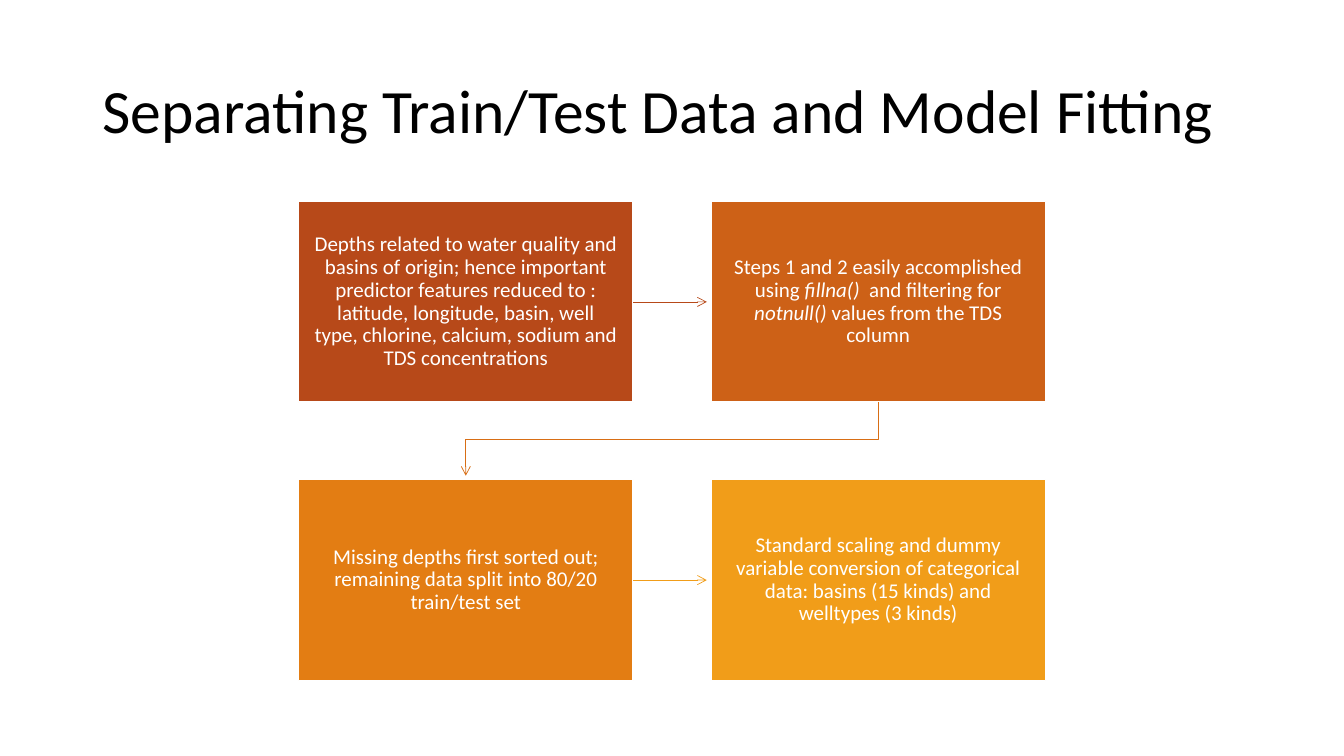
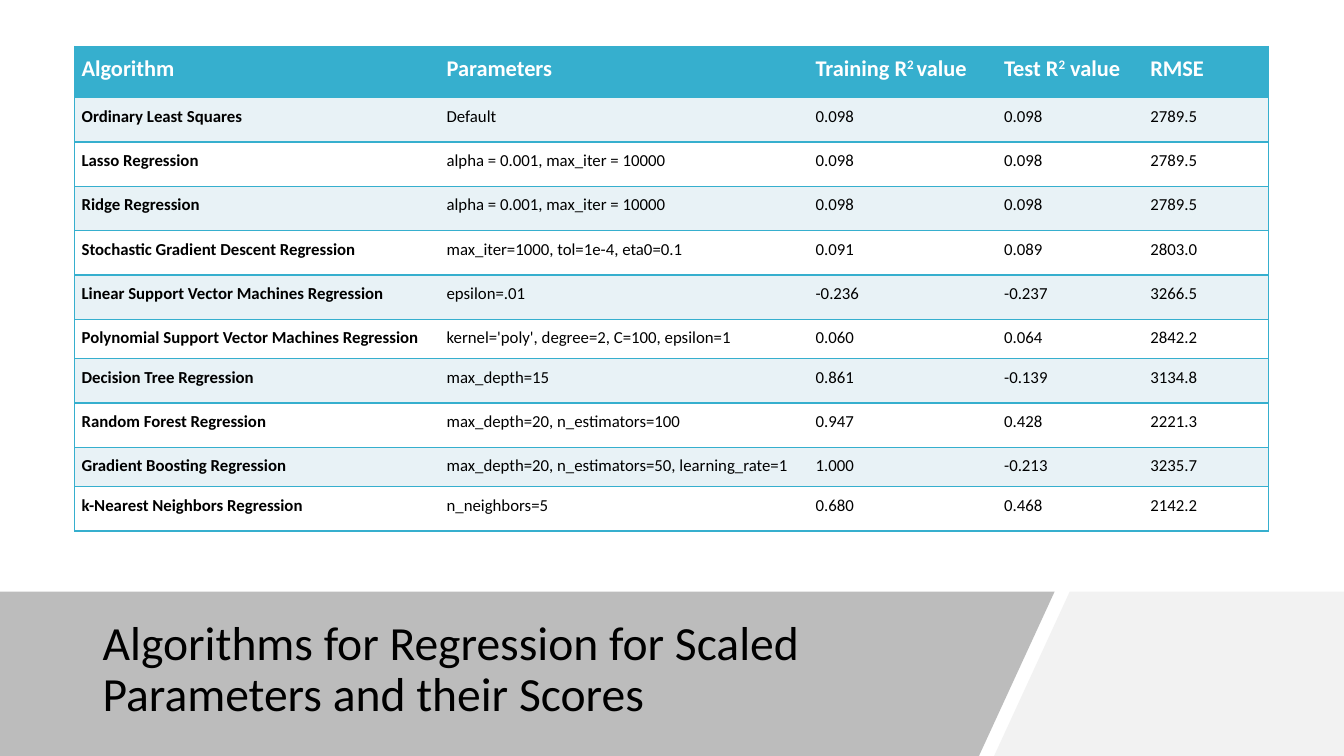
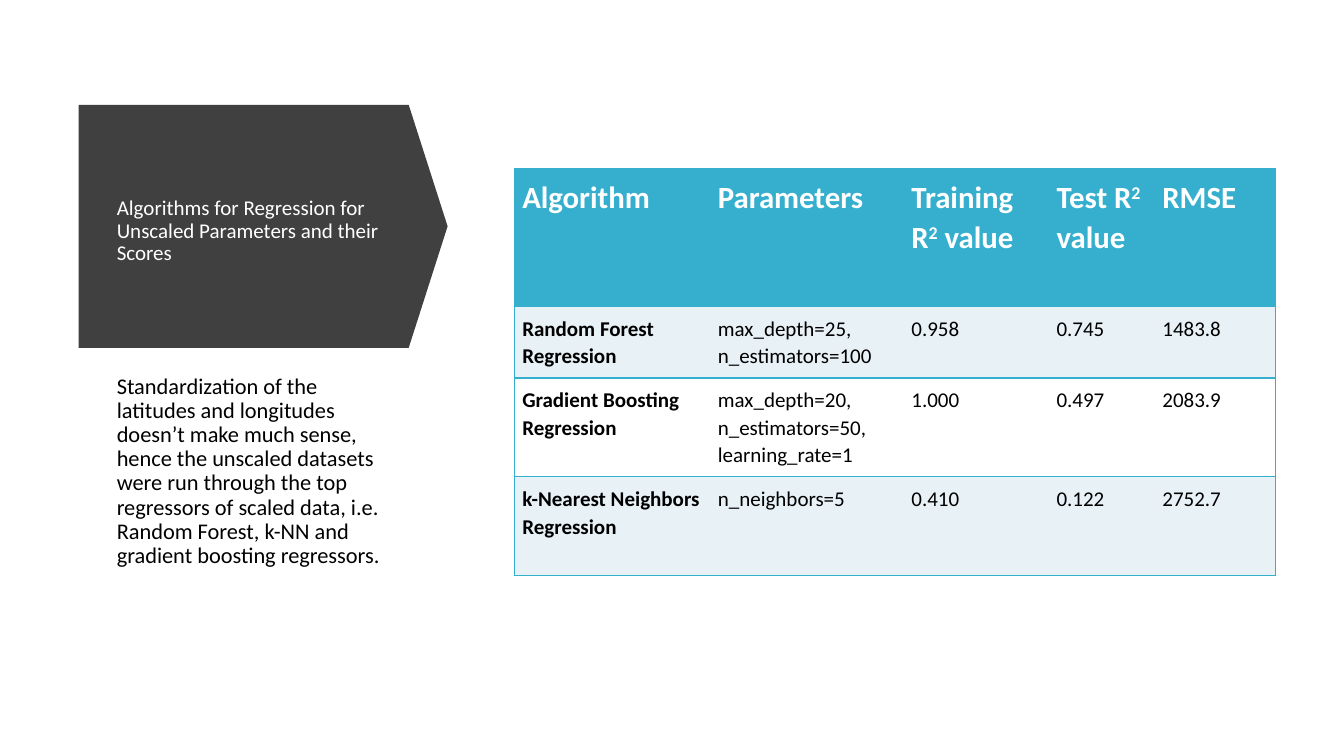
from lxml.etree import SubElement
from pptx import Presentation
from pptx.dml.color import RGBColor
from pptx.enum.shapes import MSO_CONNECTOR as LINE, MSO_SHAPE as SHAPE
from pptx.enum.text import MSO_ANCHOR as ANCHOR, PP_ALIGN as ALIGN
from pptx.oxml.ns import qn
from pptx.util import Inches, Pt

COLOURS = {
    "black": "000000", "white": "FFFFFF", "charcoal": "404040",
    "grey": "595959", "pale": "F2F2F2", "teal": "36AFCE", "ice": "E8F2F6",
    "rust": "B74919", "copper": "CD6117", "amber": "D86E15",
    "orange": "E37D13", "gold": "F19D19",
}
RGB = {name: RGBColor.from_string(code) for name, code in COLOURS.items()}
FONT = "Calibri"


def write(frame, text, size, colour, anchor=ANCHOR.MIDDLE, spacing=0.9,
          bold=False, marked="i", value="1"):
    """Fill a frame; the pieces between bars get the marked attribute."""
    frame.word_wrap = True
    frame.vertical_anchor = anchor
    paragraph = frame.paragraphs[0]
    paragraph.line_spacing = spacing
    for index, piece in enumerate(text.split("|")):
        run = paragraph.add_run()
        run.text = piece
        run.font.name, run.font.size, run.font.bold = FONT, Pt(size), bold
        run.font.color.rgb = RGB[colour]
        if index % 2:
            run.font._element.set(marked, value)


def add_scores(slide, left, top, widths, heights, rows, inset, head_size, size):
    """Add a table of scores with teal rules and banded rows."""
    table = slide.shapes.add_table(
        len(rows), len(widths), Inches(left), Inches(top),
        Inches(sum(widths)), Inches(sum(heights))).table
    for column, width in zip(table.columns, widths):
        column.width = Inches(width)
    for r, (height, row) in enumerate(zip(heights, rows)):
        table.rows[r].height = Inches(height)
        for c, text in enumerate(row):
            cell = table.cell(r, c)
            cell.margin_left = cell.margin_right = Inches(inset)
            cell.margin_top = cell.margin_bottom = Inches(inset)
            write(cell.text_frame, text, size if r else head_size,
                  "black" if r else "white", ANCHOR.TOP, 1.07,
                  r == 0 or c == 0, "baseline", "30000")
            ruled = {"L": c == 0, "R": c == len(row) - 1, "T": True, "B": True}
            for side, shown in ruled.items():
                border = SubElement(cell._tc.get_or_add_tcPr(),
                                    qn("a:ln" + side), w=str(Pt(1)))
                if shown:
                    paint = SubElement(border, qn("a:solidFill"))
                    SubElement(paint, qn("a:srgbClr"), val=COLOURS["teal"])
                else:
                    SubElement(border, qn("a:noFill"))
            cell.fill.solid()
            band = "ice" if r % 2 else "white"
            cell.fill.fore_color.rgb = RGB[band if r else "teal"]


deck = Presentation()
deck.slide_width, deck.slide_height = Inches(13.33), Inches(7.5)
fitting, scaled, unscaled = [
    deck.slides.add_slide(deck.slide_layouts[6]) for _ in range(3)]

# Titles: slide, place, text, size, colour; the last one follows its arrow
title = fitting.shapes.add_textbox(
    Inches(0.92), Inches(0.4), Inches(11.5), Inches(1.45))
write(title.text_frame, "Separating Train/Test Data and Model Fitting",
      44, "black")

# Slide 1: four steps in a two by two grid
STEP_W, STEP_H, GAP = 3.32, 1.99, 0.77
STEPS = [
    ("rust", "Depths related to water quality and basins of origin; hence "
     "important predictor features reduced to : latitude, longitude, basin, "
     "well type, chlorine, calcium, sodium and TDS concentrations"),
    ("copper", "Steps 1 and 2 easily accomplished using |fillna() | and "
     "filtering for |notnull() |values from the TDS column"),
    ("orange", "Missing depths first sorted out; remaining data split into "
     "80/20 train/test set"),
    ("gold", "Standard scaling and dummy variable conversion of categorical "
     "data: basins (15 kinds) and welltypes (3 kinds)"),
]
steps = []
for index, (colour, text) in enumerate(STEPS):
    row, column = divmod(index, 2)
    step = fitting.shapes.add_shape(
        SHAPE.RECTANGLE, Inches(2.96 + column * (STEP_W + GAP)),
        Inches(2 + row * (STEP_H + GAP)), Inches(STEP_W), Inches(STEP_H))
    step.shadow.inherit = False
    step.fill.solid()
    step.fill.fore_color.rgb = RGB[colour]
    step.line.color.rgb = RGB["white"]
    step.line.width = Pt(1)
    frame = step.text_frame
    frame.margin_left = frame.margin_right = Inches(0.16)
    frame.margin_top = frame.margin_bottom = Inches(0.17)
    write(frame, text, 15, "white")
    frame.paragraphs[0].alignment = ALIGN.CENTER
    steps.append(step)

# Arrows between the steps, each stopping just short of the next step
ARROW = 0.73
arrows = []
for start, colour in ((steps[0], "rust"), (steps[2], "gold")):
    x, y = start.left + start.width, start.top + start.height // 2
    arrow = fitting.shapes.add_connector(
        LINE.STRAIGHT, x, y, x + Inches(ARROW), y)
    arrow.begin_connect(start, 3)
    arrows.append((arrow, colour))

# The elbow lies sideways and is turned to leave downwards
span = steps[1].left - steps[0].left
middle_x = (steps[0].left + steps[1].left + steps[0].width) // 2
middle_y = steps[0].top + steps[0].height + Inches(ARROW / 2)
elbow = fitting.shapes.add_connector(
    LINE.ELBOW, middle_x - Inches(ARROW / 2), middle_y - span // 2,
    middle_x + Inches(ARROW / 2), middle_y + span // 2)
elbow._element.spPr.find(qn("a:xfrm")).set("rot", "5400000")
arrows.append((elbow, "amber"))

for arrow, colour in arrows:
    arrow.line.color.rgb = RGB[colour]
    arrow.line.width = Pt(0.5)
    SubElement(arrow.line._get_or_add_ln(), qn("a:tailEnd"), type="arrow")
    SubElement(arrow._element.spPr, qn("a:effectLst"))

# Slide 2: slanted bands along the bottom
BANDS = [
    ("pale", [(10.61, 5.87), (13.33, 5.87), (13.33, 7.5), (9.86, 7.5)]),
    ("grey", [(0, 5.87), (10.46, 5.87), (9.71, 7.5), (0, 7.5)]),
]
for colour, corners in BANDS:
    points = [(Inches(x), Inches(y)) for x, y in corners]
    outline = scaled.shapes.build_freeform(*points[0])
    outline.add_line_segments(points[1:], close=True)
    band = outline.convert_to_shape()
    band.shadow.inherit = False
    band.fill.solid()
    band.fill.fore_color.rgb = RGB[colour]
    band.line.fill.background()
    if colour == "grey":
        shade = band._element.spPr.find(qn("a:solidFill"))[0]
        SubElement(shade, qn("a:alpha"), val="40000")

title = scaled.shapes.add_textbox(
    Inches(0.92), Inches(6.05), Inches(8.83), Inches(1.2))
write(title.text_frame,
      "Algorithms for Regression for Scaled Parameters and their Scores",
      34, "black")

# Slide 2: scores on scaled data
SCALED_SCORES = [
    ("Algorithm", "Parameters", "Training R|2 |value", "Test R|2| value", "RMSE"),
    ("Ordinary Least Squares", "Default", "0.098", "0.098", "2789.5"),
    ("Lasso Regression", "alpha = 0.001, max_iter = 10000",
     "0.098", "0.098", "2789.5"),
    ("Ridge Regression", "alpha = 0.001, max_iter = 10000",
     "0.098", "0.098", "2789.5"),
    ("Stochastic Gradient Descent Regression",
     "max_iter=1000, tol=1e-4, eta0=0.1", "0.091", "0.089", "2803.0"),
    ("Linear Support Vector Machines Regression", "epsilon=.01",
     "-0.236", "-0.237", "3266.5"),
    ("Polynomial Support Vector Machines Regression",
     "kernel='poly', degree=2, C=100, epsilon=1", "0.060", "0.064", "2842.2"),
    ("Decision Tree Regression", "max_depth=15", "0.861", "-0.139", "3134.8"),
    ("Random Forest Regression", "max_depth=20, n_estimators=100",
     "0.947", "0.428", "2221.3"),
    ("Gradient Boosting Regression",
     "max_depth=20, n_estimators=50, learning_rate=1",
     "1.000", "-0.213", "3235.7"),
    ("k-Nearest Neighbors Regression", "n_neighbors=5",
     "0.680", "0.468", "2142.2"),
]
heights = [0.51] + [0.44] * 5 + [0.39, 0.44, 0.44, 0.39, 0.44]
add_scores(scaled, 0.74, 0.46, [3.62, 3.66, 1.87, 1.45, 1.24], heights,
           SCALED_SCORES, 0.07, 16, 12)

# Slide 3: title on a dark arrow, with the reason below
pointer = unscaled.shapes.add_shape(
    SHAPE.PENTAGON, Inches(0.78), Inches(1.04), Inches(3.66), Inches(2.41))
pointer.adjustments[0] = 0.16
pointer.shadow.inherit = False
pointer.fill.solid()
pointer.fill.fore_color.rgb = RGB["charcoal"]
pointer.line.fill.background()

title = unscaled.shapes.add_textbox(
    Inches(1.06), Inches(1.32), Inches(2.92), Inches(1.95))
write(title.text_frame,
      "Algorithms for Regression for Unscaled Parameters and their Scores",
      15, "white")

reason = unscaled.shapes.add_textbox(
    Inches(1.06), Inches(3.67), Inches(2.92), Inches(2.65))
write(reason.text_frame,
      "Standardization of the latitudes and longitudes doesn’t make much "
      "sense, hence the unscaled datasets were run through the top regressors "
      "of scaled data, i.e. Random Forest, k-NN and gradient boosting "
      "regressors.", 16, "black", ANCHOR.TOP)

# Slide 3: scores on unscaled data
UNSCALED_SCORES = [
    ("Algorithm", "Parameters", "Training R|2| value", "Test R|2| value", "RMSE"),
    ("Random Forest Regression", "max_depth=25, n_estimators=100",
     "0.958", "0.745", "1483.8"),
    ("Gradient Boosting Regression",
     "max_depth=20, n_estimators=50, learning_rate=1",
     "1.000", "0.497", "2083.9"),
    ("k-Nearest Neighbors Regression", "n_neighbors=5",
     "0.410", "0.122", "2752.7"),
]
add_scores(unscaled, 5.1, 1.67, [1.94, 1.92, 1.44, 1.05, 1.2],
           [1.37, 0.71, 0.98, 0.98], UNSCALED_SCORES, 0.08, 22, 15)

deck.save("out.pptx")
